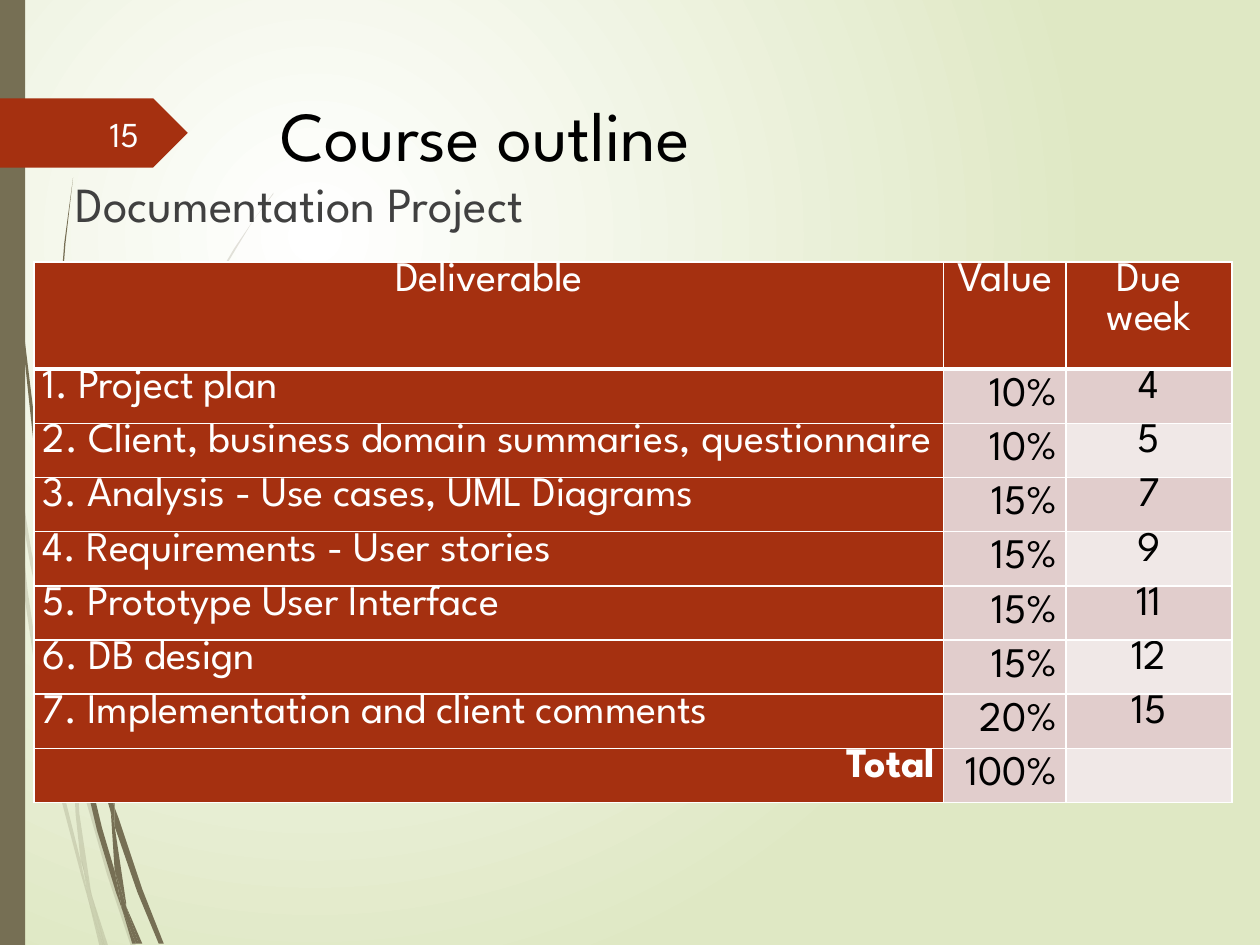
from lxml import etree
from pptx import Presentation
from pptx.dml.color import RGBColor
from pptx.enum.shapes import MSO_SHAPE
from pptx.enum.text import MSO_ANCHOR, PP_ALIGN
from pptx.oxml.ns import qn
from pptx.util import Inches, Pt

FONT = "League Spartan"
OLIVE, RED, WHITE, BLACK = "766F54", "A53010", "FFFFFF", "000000"


def color(hex_string):
    return RGBColor.from_string(hex_string)


def write(frame, text, size, hex_color, align=PP_ALIGN.LEFT, bold=False, before=0):
    """Fill a text frame, one paragraph per line of text."""
    frame.word_wrap = True
    frame.text = text
    for paragraph in frame.paragraphs:
        paragraph.alignment = align
        paragraph.space_before = Pt(before)
        paragraph.font.name = FONT
        paragraph.font.size = Pt(size)
        paragraph.font.bold = bold
        paragraph.font.color.rgb = color(hex_color)


presentation = Presentation()
presentation.slide_width = Inches(10)
presentation.slide_height = Inches(7.5)
slide = presentation.slides.add_slide(presentation.slide_layouts[6])
shapes = slide.shapes

# Background: radial gradient centred in the upper left
background = slide.background.fill
background.gradient()
for stop, position, hex_color in zip(background.gradient_stops, (0, 1), (WHITE, "DFE8C4")):
    stop.position = position
    stop.color.rgb = color(hex_color)
gradient = slide._element.find(".//" + qn("a:gradFill"))
gradient.remove(gradient.find(qn("a:lin")))
circle = etree.SubElement(gradient, qn("a:path"), path="circle")
etree.SubElement(circle, qn("a:fillToRect"), l="50000", t="50000", r="100000", b="100000")

# Grass blades: outline points in hundredths of an inch
pale_blades = [
    [(8, 350), (6, 322), (0, 282), (0, 299), (7, 344)],
    [(40, 522), (59, 599), (59, 586), (43, 520), (25, 438), (10, 345), (12, 376), (24, 448)],
    [(64, 607), (61, 596), (61, 610), (85, 694), (104, 751), (108, 751), (88, 692)],
    [(83, 751), (86, 751), (73, 711)],
    [(64, 683), (48, 619), (33, 545), (22, 469), (12, 376), (8, 350), (12, 410), (19, 470),
     (30, 546), (45, 621), (64, 693), (70, 714), (69, 707)],
    [(58, 599), (60, 646), (64, 683), (67, 692), (73, 711), (72, 706), (63, 646), (61, 610),
     (61, 608)],
    [(61, 584), (65, 522), (76, 462), (92, 405), (111, 349), (134, 296), (159, 245), (187, 198),
     (201, 175), (217, 154), (217, 153), (201, 175), (186, 197), (158, 244), (133, 295),
     (110, 348), (91, 404), (75, 461), (64, 522), (59, 584), (59, 586), (61, 596)],
    [(70, 714), (79, 751), (82, 751)],
    [(61, 608), (61, 610), (61, 596), (59, 586), (58, 599)],
    [(67, 692), (65, 683), (69, 707), (70, 714), (82, 751), (83, 751), (73, 711)],
]
dark_blades = [
    [(5, 110), (14, 233), (27, 355), (46, 477), (47, 481), (45, 457), (45, 453), (30, 355),
     (15, 232), (6, 109), (4, 48), (3, 0), (2, 0), (3, 48)],
    [(73, 592), (88, 645), (88, 633), (88, 631), (77, 590), (62, 532), (50, 472), (53, 505),
     (62, 549)],
    [(94, 649), (91, 641), (91, 656), (109, 708), (126, 749), (130, 749), (113, 706)],
    [(91, 691), (81, 657), (69, 607), (60, 556), (53, 505), (47, 477), (56, 557), (65, 608),
     (77, 659), (92, 708), (97, 722), (96, 717)],
    [(50, 472), (48, 453), (44, 349), (48, 245), (52, 193), (58, 141), (51, 193), (47, 245),
     (43, 349), (45, 449), (49, 472)],
    [(110, 749), (113, 749), (100, 719)],
    [(47, 477), (53, 505), (50, 472), (49, 472), (45, 449), (45, 453)],
    [(91, 633), (95, 592), (103, 552), (115, 513), (131, 476), (149, 440), (169, 406),
     (191, 374), (203, 359), (216, 344), (215, 344), (203, 358), (191, 373), (168, 405),
     (147, 439), (129, 474), (113, 512), (101, 551), (93, 591), (88, 631), (91, 641)],
    [(97, 722), (105, 749), (108, 749)],
    [(88, 645), (91, 691), (96, 706), (100, 719), (100, 716), (91, 656), (90, 651)],
    [(88, 645), (90, 651), (91, 656), (91, 641), (88, 631), (88, 633)],
    [(96, 706), (91, 691), (96, 717), (97, 722), (108, 749), (110, 749), (100, 719)],
]
for blades, opacity in ((pale_blades, 20), (dark_blades, 100)):
    for points in blades:
        builder = shapes.build_freeform(*points[0], scale=Inches(0.01))
        builder.add_line_segments(points[1:], close=True)
        blade = builder.convert_to_shape()
        blade.shadow.inherit = False
        blade.fill.solid()
        blade.fill.fore_color.rgb = color(OLIVE)
        blade.line.fill.background()
        if opacity < 100:
            fill_color = blade._element.spPr.find(".//" + qn("a:srgbClr"))
            etree.SubElement(fill_color, qn("a:alpha"), val=str(opacity * 1000))

# Side bar and slide number tag
for kind, box, hex_color in (
    (MSO_SHAPE.RECTANGLE, (0, 0, 0.2, 7.5), OLIVE),
    (MSO_SHAPE.PENTAGON, (0, 0.78, 1.49, 0.55), RED),
):
    shape = shapes.add_shape(kind, *map(Inches, box))
    shape.shadow.inherit = False
    shape.fill.solid()
    shape.fill.fore_color.rgb = color(hex_color)
    shape.line.fill.background()

title = shapes.add_textbox(Inches(2.13), Inches(0.68), Inches(7.21), Inches(1.4))
write(title.text_frame, "Course outline", 40, BLACK, before=14)
subtitle = shapes.add_textbox(Inches(0.5), Inches(1.33), Inches(8.67), Inches(5.33))
write(subtitle.text_frame, "Documentation Project", 28, "404040", before=10)
number = shapes.add_textbox(Inches(0.56), Inches(0.86), Inches(0.64), Inches(0.4))
number.text_frame.vertical_anchor = MSO_ANCHOR.MIDDLE
write(number.text_frame, "15", 20, "FEFFFF", PP_ALIGN.RIGHT)

# Deliverables table
rows = [
    ("Deliverable", "Value", "Due\nweek"),
    ("1. Project plan", "10%", "4"),
    ("2. Client, business domain summaries, questionnaire", "10%", "5"),
    ("3. Analysis - Use cases, UML Diagrams", "15%", "7"),
    ("4. Requirements - User stories", "15%", "9"),
    ("5. Prototype User Interface", "15%", "11"),
    ("6. DB design", "15%", "12"),
    ("7. Implementation and client comments", "20%", "15"),
    ("Total", "100%", ""),
]
widths = (7.22, 0.97, 1.32)
header_height, row_height = 0.85, 0.43
table = shapes.add_table(
    len(rows), len(widths), Inches(0.27), Inches(2.08), Inches(sum(widths)),
    Inches(header_height + row_height * (len(rows) - 1)),
).table
for column, width in zip(table.columns, widths):
    column.width = Inches(width)

for r, row in enumerate(rows):
    table.rows[r].height = Inches(row_height if r else header_height)
    for c, text in enumerate(row):
        cell = table.cell(r, c)
        cell.margin_left = cell.margin_right = Inches(0.07)
        cell.margin_top = cell.margin_bottom = 0
        is_total = text == "Total"
        if r == 0 or c == 2:
            align = PP_ALIGN.CENTER
        elif c == 1 or is_total:
            align = PP_ALIGN.RIGHT
        else:
            align = PP_ALIGN.LEFT
        on_red = r == 0 or c == 0
        write(cell.text_frame, text, 24, WHITE if on_red else BLACK, align, is_total)
        for paragraph in cell.text_frame.paragraphs:
            for run in paragraph.runs:
                run._r.get_or_add_rPr().set("spc", "-10")  # slightly tightened letters
        if r and c == 1:
            cell.vertical_anchor = MSO_ANCHOR.MIDDLE

        properties = cell._tc.get_or_add_tcPr()
        for side in "LRTB":
            under_header = (r, side) in ((0, "B"), (1, "T"))
            border = etree.SubElement(
                properties, qn(f"a:ln{side}"), w=str(Pt(3 if under_header else 1)))
            border_fill = etree.SubElement(border, qn("a:solidFill"))
            etree.SubElement(border_fill, qn("a:srgbClr"), val=WHITE)
        cell.fill.solid()
        band = "F0E8E7" if c == 2 and r % 2 == 0 else "E1CDCC"
        cell.fill.fore_color.rgb = color(RED if on_red else band)

presentation.save("out.pptx")
